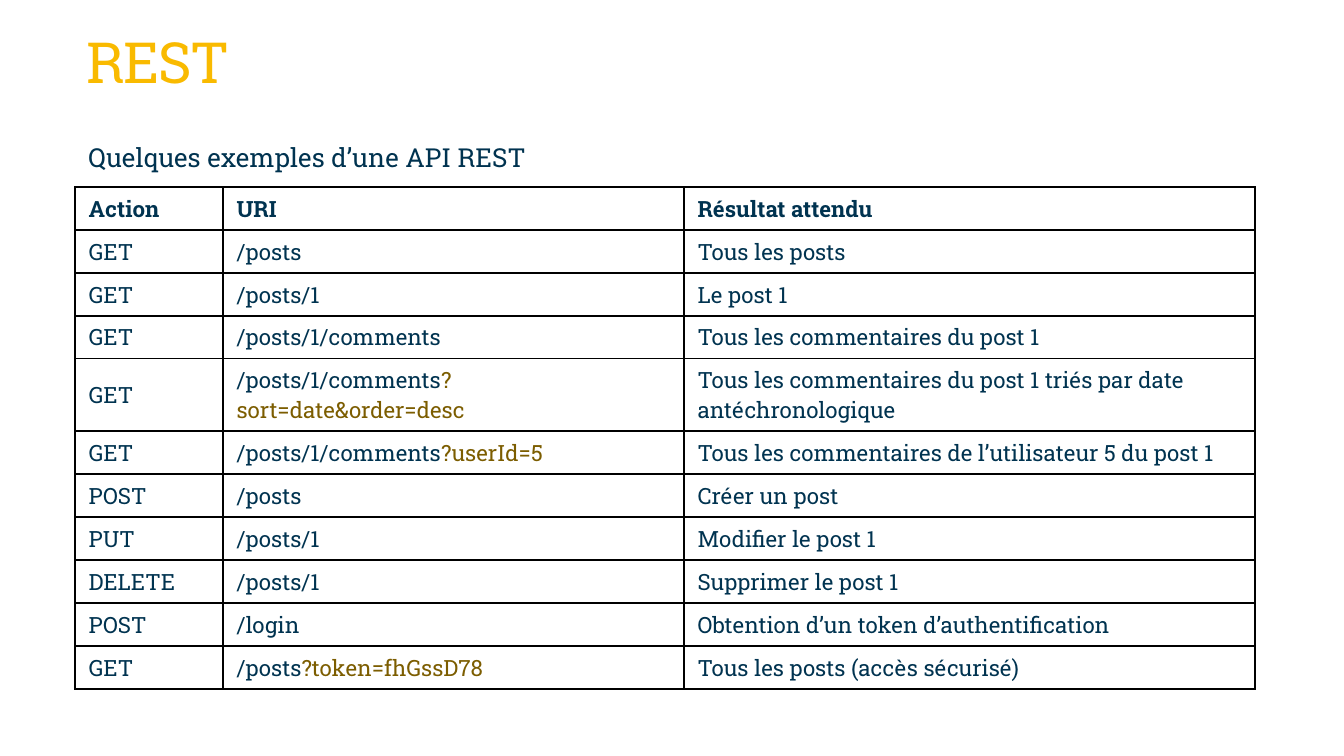
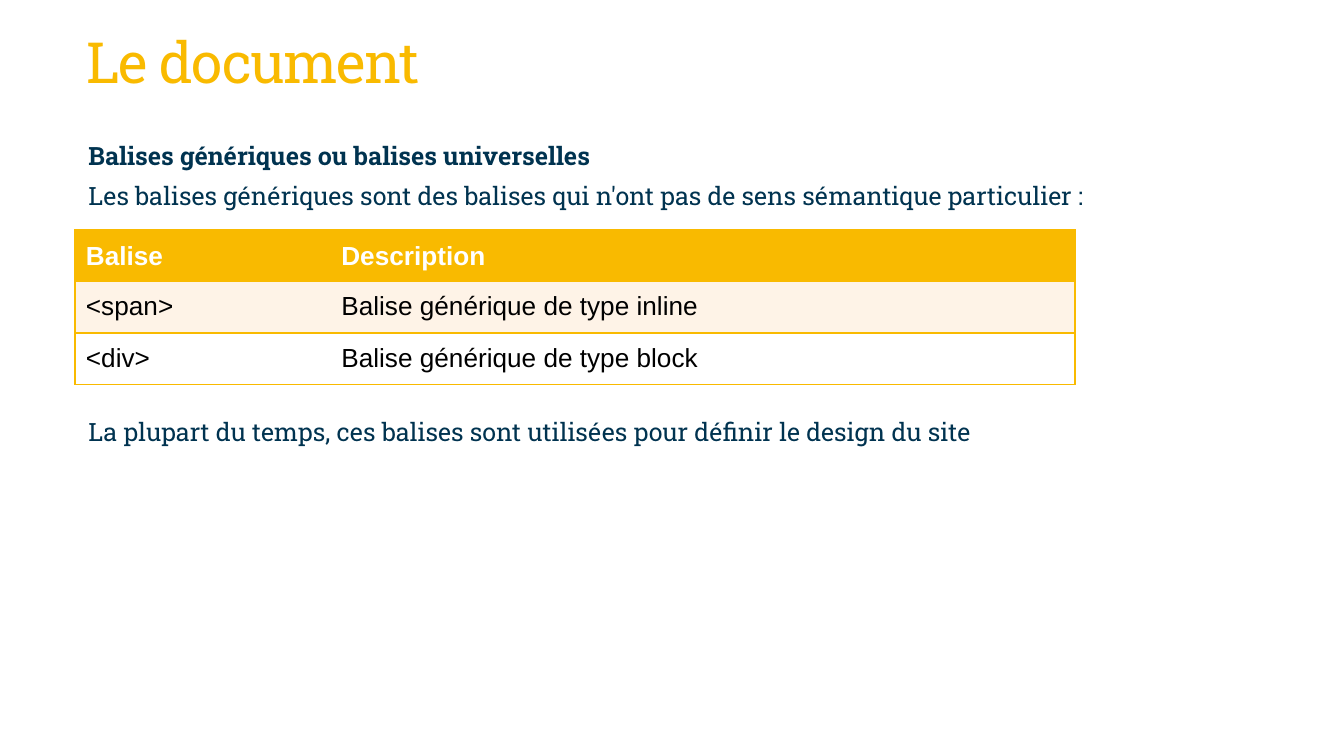
from dataclasses import dataclass

from lxml import etree
from pptx import Presentation
from pptx import util as u
from pptx.dml import color
from pptx.enum import text
from pptx.oxml import ns


@dataclass(frozen=True)
class Theme:
    yellow: str = "F9BA00"
    navy: str = "003350"
    olive: str = "7C5D00"
    cream: str = "FEF3E7"
    white: str = "FFFFFF"
    black: str = "000000"
    slab: str = "Roboto Slab"
    sans: str = "Arial"
    title_size: float = 30.4
    lead_size: float = 14
    body_size: float = 13.5
    cell_size: float = 12
    plain_table: str = "{2D5ABB26-0587-4C30-8999-92F81FD0307C}"


class Deck:
    def __init__(self, theme):
        self.theme = theme
        self.presentation = Presentation()
        self.presentation.slide_width = u.Inches(10)
        self.presentation.slide_height = u.Inches(10 * 9 / 16)
        self.slide = None

    def style(self, paragraph, size, ink, face, bold=False):
        font = paragraph.font
        font.size = u.Pt(size)
        font.name = face
        font.bold = bold
        font.color.rgb = color.RGBColor.from_string(ink)

    def start(self, heading):
        layout = self.presentation.slide_layouts[5]
        self.slide = self.presentation.slides.add_slide(layout)
        title = self.slide.shapes.title
        title.left, title.top = u.Inches(0.54), u.Inches(0.15)
        title.width, title.height = u.Inches(8.84), u.Inches(0.69)
        frame = title.text_frame
        frame.text = heading
        frame.auto_size = text.MSO_AUTO_SIZE.NONE
        frame.vertical_anchor = text.MSO_ANCHOR.MIDDLE
        paragraph = frame.paragraphs[0]
        paragraph.alignment = text.PP_ALIGN.LEFT
        paragraph.line_spacing = 0.85
        self.style(paragraph, self.theme.title_size, self.theme.yellow, self.theme.slab)
        for properties in title.element.iter(ns.qn("a:defRPr")):
            properties.set("spc", "-70")

    def body(self, top, height, lines, size, spacing=1.0):
        box = self.slide.shapes.add_textbox(
            u.Inches(0.56), u.Inches(top), u.Inches(8.82), u.Inches(height))
        frame = box.text_frame
        frame.word_wrap = True
        for index, (line, bold, gap) in enumerate(lines):
            paragraph = frame.add_paragraph() if index else frame.paragraphs[0]
            paragraph.text = line
            paragraph.line_spacing = spacing
            paragraph.space_before = u.Pt(gap)
            self.style(paragraph, size, self.theme.navy, self.theme.slab, bold)

    def table(self, top, widths, heights, rows):
        frame = self.slide.shapes.add_table(
            len(rows), len(widths), u.Inches(0.56), u.Inches(top),
            u.Inches(sum(widths)), u.Inches(sum(heights)))
        for style_id in frame.element.iter(ns.qn("a:tableStyleId")):
            style_id.text = self.theme.plain_table
        table = frame.table
        table.horz_banding = False
        for column, width in zip(table.columns, widths):
            column.width = u.Inches(width)
        for row, height in zip(table.rows, heights):
            row.height = u.Inches(height)
        for row, values in zip(table.rows, rows):
            for cell, value in zip(row.cells, values):
                cell.text = value
        return table

    def borders(self, cell, ink, sides):
        properties = cell._tc.get_or_add_tcPr()
        for side in "LRTB":
            line = etree.SubElement(properties, ns.qn(f"a:ln{side}"), w=str(u.Pt(1)))
            if side in sides:
                fill = etree.SubElement(line, ns.qn("a:solidFill"))
                etree.SubElement(fill, ns.qn("a:srgbClr"), val=ink)
            else:
                etree.SubElement(line, ns.qn("a:noFill"))

    def highlight_query(self, cell):
        address, mark, query = cell.text.partition("?")
        if mark:
            paragraph = cell.text_frame.paragraphs[0]
            paragraph.runs[0].text = address
            run = paragraph.add_run()
            run.text = mark + query
            run.font.color.rgb = color.RGBColor.from_string(self.theme.olive)

    def api_table(self, top, widths, heights, rows):
        table = self.table(top, widths, heights, rows)
        for index, row in enumerate(table.rows):
            for cell in row.cells:
                self.borders(cell, self.theme.black, "LRTB")
                cell.fill.background()
                cell.vertical_anchor = text.MSO_ANCHOR.MIDDLE
                self.style(cell.text_frame.paragraphs[0], self.theme.cell_size,
                           self.theme.navy, self.theme.slab, index == 0)
                self.highlight_query(cell)

    def tag_table(self, top, widths, heights, rows):
        theme = self.theme
        table = self.table(top, widths, heights, rows)
        fills = (theme.yellow, theme.cream, theme.white)
        for index, (row, fill) in enumerate(zip(table.rows, fills)):
            header = index == 0
            for cell, sides in zip(row.cells, ("LTB", "RTB")):
                self.borders(cell, theme.yellow, sides)
                cell.fill.solid()
                cell.fill.fore_color.rgb = color.RGBColor.from_string(fill)
                cell.margin_left = cell.margin_right = u.Inches(0.08)
                cell.margin_top, cell.margin_bottom = u.Inches(0.08), u.Inches(0.07)
                cell.vertical_anchor = (
                    text.MSO_ANCHOR.MIDDLE if header else text.MSO_ANCHOR.TOP)
                self.style(cell.text_frame.paragraphs[0], theme.lead_size,
                           theme.white if header else theme.black, theme.sans, header)


API_CALLS = [
    ("Action", "URI", "Résultat attendu"),
    ("GET", "/posts", "Tous les posts"),
    ("GET", "/posts/1", "Le post 1"),
    ("GET", "/posts/1/comments", "Tous les commentaires du post 1"),
    ("GET", "/posts/1/comments?sort=date&order=desc",
     "Tous les commentaires du post 1 triés par date antéchronologique"),
    ("GET", "/posts/1/comments?userId=5",
     "Tous les commentaires de l’utilisateur 5 du post 1"),
    ("POST", "/posts", "Créer un post"),
    ("PUT", "/posts/1", "Modifier le post 1"),
    ("DELETE", "/posts/1", "Supprimer le post 1"),
    ("POST", "/login", "Obtention d’un token d’authentification"),
    ("GET", "/posts?token=fhGssD78", "Tous les posts (accès sécurisé)"),
]

GENERIC_TAGS = [
    ("Balise", "Description"),
    ("<span>", "Balise générique de type inline"),
    ("<div>", "Balise générique de type block"),
]

TAG_NOTES = [
    ("Balises génériques ou balises universelles", True, 0),
    ("Les balises génériques sont des balises qui n'ont pas de sens sémantique "
     "particulier :", False, 7.9),
    ("La plupart du temps, ces balises sont utilisées pour définir le design du site",
     False, 112.4),
]


def main():
    theme = Theme()
    deck = Deck(theme)

    deck.start("REST")
    deck.body(1, 4.17, [("Quelques exemples d’une API REST", False, 0)], theme.lead_size)
    call_heights = [0.54 if "sort=" in uri else 0.32 for _, uri, _ in API_CALLS]
    deck.api_table(1.39, (1.1, 3.43, 4.25), call_heights, API_CALLS)

    deck.start("Le document")
    deck.body(1.03, 3.79, TAG_NOTES, theme.body_size, 0.85)
    deck.tag_table(1.71, (1.9, 5.54), [0.38] * len(GENERIC_TAGS), GENERIC_TAGS)

    deck.presentation.save("out.pptx")


if __name__ == "__main__":
    main()
